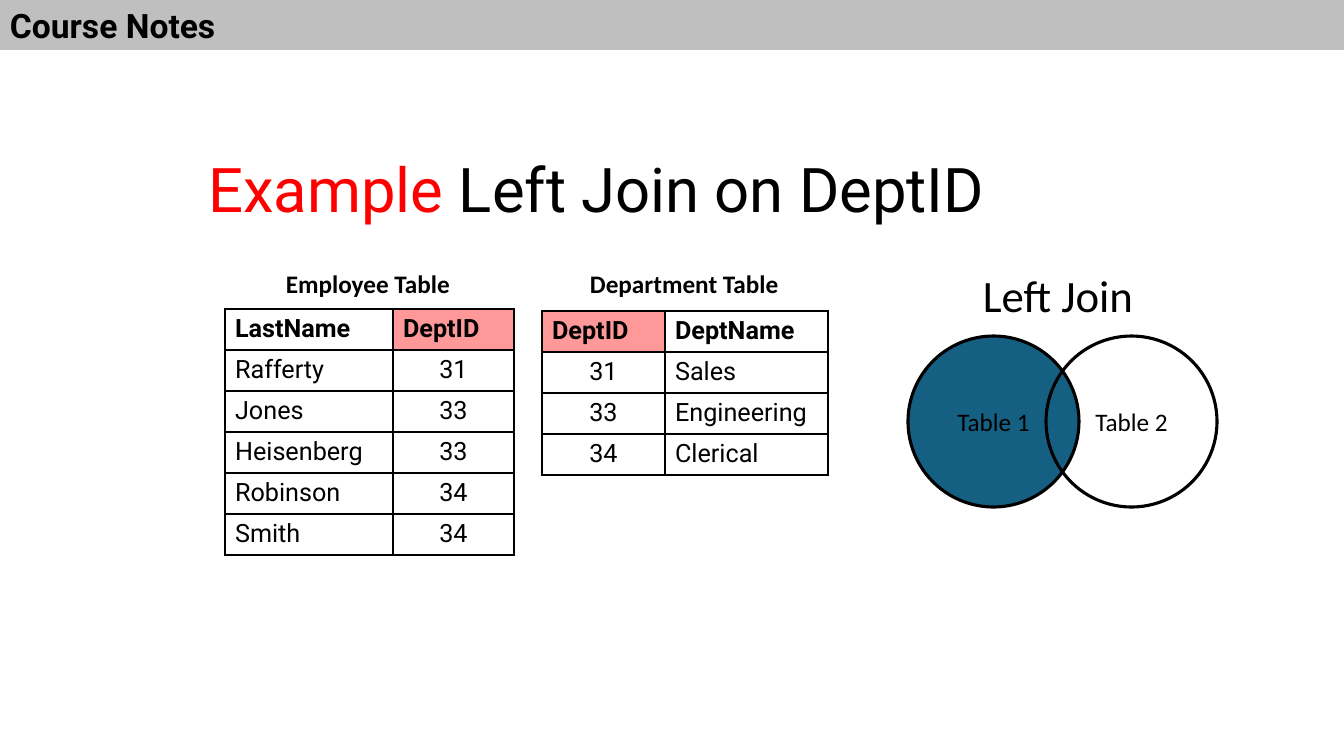
"""Build the course slide that explains a left join on DeptID."""
import pptx
import pptx.dml.color
import pptx.enum.shapes
import pptx.enum.text
import pptx.oxml
import pptx.oxml.ns
import pptx.util

RGB = pptx.dml.color.RGBColor
ALIGN = pptx.enum.text.PP_ALIGN
ANCHOR = pptx.enum.text.MSO_ANCHOR
SHAPE = pptx.enum.shapes.MSO_SHAPE

BLACK = RGB(0x00, 0x00, 0x00)
RED = RGB(0xFF, 0x00, 0x00)
PINK = RGB(0xFF, 0x99, 0x99)
BLUE = RGB(0x15, 0x60, 0x82)
GREY = RGB(0xBF, 0xBF, 0xBF)

WIDTH, HEIGHT = 1344, 756
KEY = "DeptID"
EMPLOYEES = [
    ("LastName", KEY),
    ("Rafferty", "31"),
    ("Jones", "33"),
    ("Heisenberg", "33"),
    ("Robinson", "34"),
    ("Smith", "34"),
]
DEPARTMENTS = [
    (KEY, "DeptName"),
    ("31", "Sales"),
    ("33", "Engineering"),
    ("34", "Clerical"),
]


def px(n):
    return pptx.util.Emu(round(n * 914400 / 100.8))


class Slide:
    heading_font = "Roboto"
    label_font = "Calibri"
    row_height = 41

    def __init__(self, prs):
        self.slide = prs.slides.add_slide(prs.slide_layouts[5])
        self.shapes = self.slide.shapes

    def add_runs(self, tf, runs, size, font, bold=False, align=ALIGN.LEFT):
        p = tf.paragraphs[0]
        p.alignment = align
        for text, color in runs:
            r = p.add_run()
            r.text = text
            r.font.name = font
            r.font.size = pptx.util.Pt(size)
            r.font.bold = bold
            r.font.color.rgb = color
        return p

    def title(self, x, y, w, h, runs):
        sp = self.shapes.title
        sp.left, sp.top, sp.width, sp.height = map(px, (x, y, w, h))
        tf = sp.text_frame
        tf.auto_size = pptx.enum.text.MSO_AUTO_SIZE.NONE
        tf.vertical_anchor = ANCHOR.MIDDLE
        p = self.add_runs(tf, runs, 44, self.heading_font)
        p.line_spacing = 0.9

    def label(self, x, y, w, h, text, size, bold=False):
        tf = self.shapes.add_textbox(*map(px, (x, y, w, h))).text_frame
        tf.word_wrap = True
        self.add_runs(tf, [(text, BLACK)], size, self.label_font, bold)

    def shape(self, kind, x, y, w, h, fill=None, outlined=False):
        sp = self.shapes.add_shape(kind, *map(px, (x, y, w, h)))
        sp.shadow.inherit = False
        if fill is None:
            sp.fill.background()
        else:
            sp.fill.solid()
            sp.fill.fore_color.rgb = fill
        if outlined:
            sp.line.color.rgb = BLACK
            sp.line.width = pptx.util.Pt(2.25)
        else:
            sp.line.fill.background()
        return sp.text_frame

    def circle(self, x, y, d, text, fill=None):
        tf = self.shape(SHAPE.OVAL, x, y, d, d, fill, outlined=True)
        tf.vertical_anchor = ANCHOR.MIDDLE
        self.add_runs(tf, [(text, BLACK)], 18, self.label_font, align=ALIGN.CENTER)

    def banner(self, h, text):
        tf = self.shape(SHAPE.RECTANGLE, 0, 0, WIDTH, h, GREY)
        tf.vertical_anchor = ANCHOR.TOP
        self.add_runs(tf, [(text, BLACK)], 24, self.heading_font, bold=True)

    def borders(self, cell):
        tcPr = cell._tc.get_or_add_tcPr()
        for side in ("lnL", "lnR", "lnT", "lnB"):
            tcPr.append(pptx.oxml.parse_xml(
                f'<a:{side} {pptx.oxml.ns.nsdecls("a")} w="12700"><a:solidFill>'
                f'<a:srgbClr val="{BLACK}"/></a:solidFill></a:{side}>'
            ))

    def table(self, x, y, widths, rows):
        frame = self.shapes.add_table(
            len(rows), len(widths), px(x), px(y),
            px(sum(widths)), px(self.row_height * len(rows)),
        )
        tbl = frame.table
        tbl.first_row = tbl.horz_banding = False
        for col, width in zip(tbl.columns, widths):
            col.width = px(width)
        for i, row in enumerate(rows):
            tbl.rows[i].height = px(self.row_height)
            for j, text in enumerate(row):
                cell = tbl.cell(i, j)
                self.borders(cell)
                if text == KEY:
                    cell.fill.solid()
                    cell.fill.fore_color.rgb = PINK
                else:
                    cell.fill.background()
                align = ALIGN.CENTER if text.isdigit() else ALIGN.LEFT
                self.add_runs(cell.text_frame, [(text, BLACK)], 18,
                              self.heading_font, bold=i == 0, align=align)


def main():
    prs = pptx.Presentation()
    prs.slide_width, prs.slide_height = px(WIDTH), px(HEIGHT)
    s = Slide(prs)
    s.title(198, 120, 869, 146, [("Example ", RED), ("Left Join on DeptID", BLACK)])
    s.table(225, 309, (168, 121), EMPLOYEES)
    s.table(542, 311, (123, 163), DEPARTMENTS)
    s.label(276, 263, 186, 40, "Employee Table", 18, bold=True)
    s.label(580, 263, 211, 40, "Department Table", 18, bold=True)
    s.circle(908, 336, 171, "Table 1", BLUE)
    s.circle(1046, 336, 171, "Table 2")
    s.label(973, 263, 174, 65, "Left Join", 32)
    s.banner(50, "Course Notes")
    prs.save("out.pptx")


if __name__ == "__main__":
    main()
